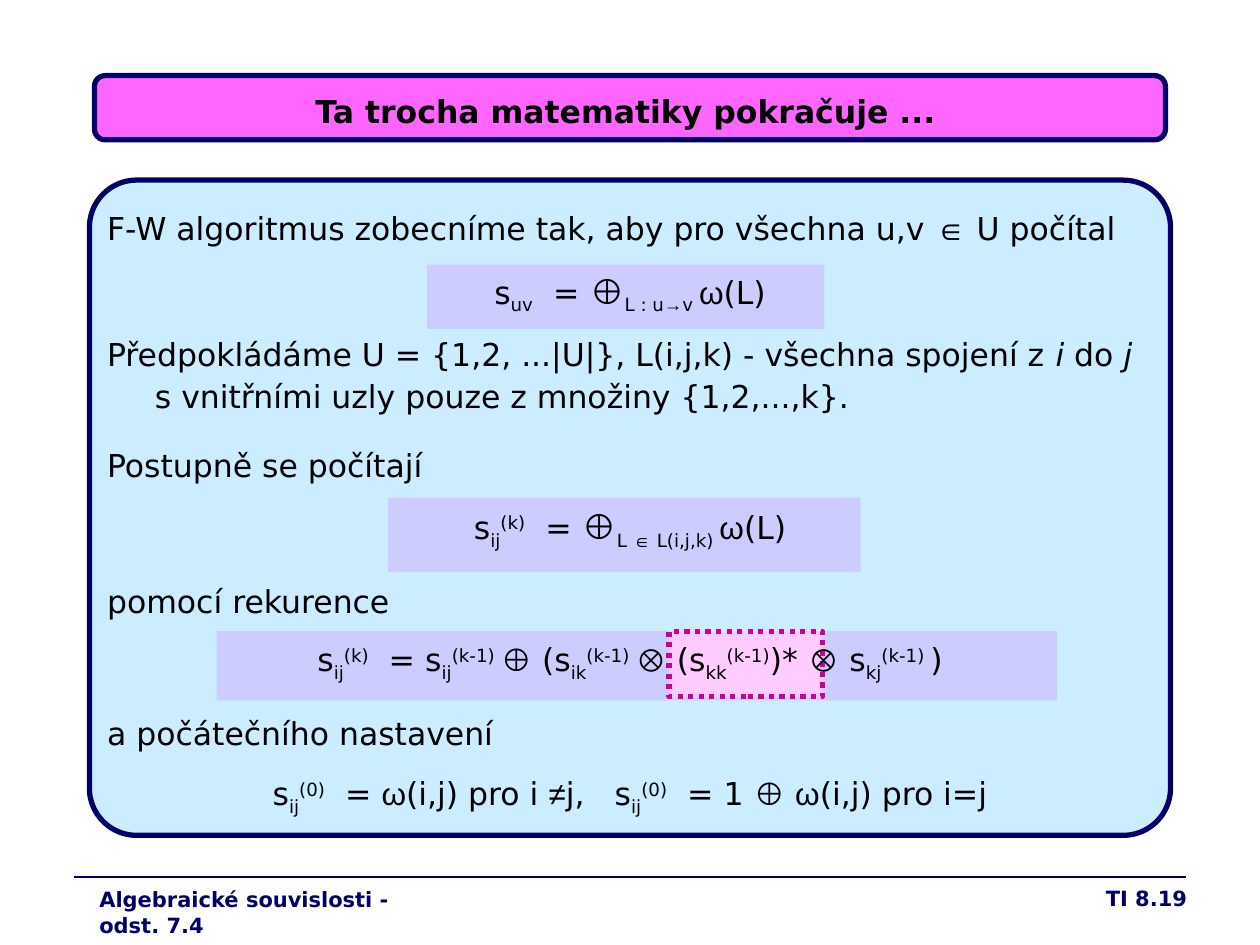
from itertools import groupby

from lxml.etree import SubElement
from pptx import Presentation
from pptx.dml.color import RGBColor
from pptx.enum.dml import MSO_LINE
from pptx.enum.shapes import MSO_CONNECTOR, MSO_SHAPE
from pptx.enum.text import MSO_ANCHOR, MSO_AUTO_SIZE, PP_ALIGN
from pptx.oxml.ns import qn
from pptx.util import Pt

PX = 9144  # EMU in one px, 100 px to the inch
COLORS = {
    "navy": "000066",
    "panel": "CCECFF",
    "formula": "CCCCFF",
    "highlight": "FFCCFF",
    "dots": "CC0099",
    "title": "FF66FF",
    "text": "000000",
}
TEXT_FONT, SYMBOL_FONT = "DejaVu Sans", "Arial"
SYMBOLS, OPERATORS = "∈→ω≠⊕⊗", "⊕⊗"

# A piece starting with _ is a subscript, ^ a superscript, + large, / italic
STYLES = {
    "_": {"baseline": "-25000"},
    "^": {"baseline": "30000"},
    "+": {"size": Pt(20)},
    "/": {"italic": True},
}
LEFT = {"alignment": PP_ALIGN.LEFT}
PROSE = LEFT | {"space_before": Pt(18)}
FORMULA = {"alignment": PP_ALIGN.CENTER, "line_spacing": 1.1, "space_before": Pt(9)}
SPACED_FORMULA = FORMULA | {"space_before": Pt(10)}
BODY = [
    (LEFT | {"space_before": Pt(0)},
     ["F-W algoritmus zobecníme tak, aby pro všechna u,v ∈ U počítal"]),
    (SPACED_FORMULA, ["s", "_uv", "  = ", "+⊕", "_L : u→v ", "ω(L)"]),
    (FORMULA | LEFT,
     ["Předpokládáme U = {1,2, ...|U|}, L(i,j,k) - všechna spojení z ", "/i", " do ",
      "/j", " s vnitřními uzly pouze z množiny {1,2,...,k}."]),
    (PROSE, ["Postupně se počítají"]),
    (FORMULA, ["s", "_ij", "^(k)", "  = ", "+⊕", "_L ∈ L(i,j,k) ", "ω(L)"]),
    (PROSE, ["pomocí rekurence"]),
    (FORMULA,
     ["s", "_ij", "^(k)", "  = s", "_ij", "^(k-1) ", "⊕ (s", "_ik", "^(k-1) ",
      "⊗ (s", "_kk", "^(k-1)", ")* ⊗ s", "_kj", "^(k-1) ", ")"]),
    (PROSE, ["a počátečního nastavení"]),
    (SPACED_FORMULA,
     ["s", "_ij", "^(0)", "  = ω(i,j) pro i ≠j,   s", "_ij", "^(0)",
      "  = 1 ⊕ ω(i,j) pro i=j"]),
]


def color(name):
    return RGBColor.from_string(COLORS[name])


def apply(target, values):
    for name, value in values.items():
        setattr(target, name, value)


def place(shape, box):
    names = ("left", "top", "width", "height")
    apply(shape, {name: length * PX for name, length in zip(names, box)})


def add_box(slide, box, fill, line=None, radius=None):
    kind = MSO_SHAPE.RECTANGLE if radius is None else MSO_SHAPE.ROUNDED_RECTANGLE
    shape = slide.shapes.add_shape(kind, *(length * PX for length in box))
    shape.shadow.inherit = False
    shape.fill.solid()
    shape.fill.fore_color.rgb = color(fill)
    if radius is not None:
        shape.adjustments[0] = radius
    if line:
        shape.line.color.rgb = color(line)
        shape.line.width = Pt(3)
    else:
        shape.line.fill.background()
    return shape


def format_frame(frame, anchor=MSO_ANCHOR.TOP):
    apply(frame, {
        "word_wrap": True, "auto_size": MSO_AUTO_SIZE.NONE, "vertical_anchor": anchor,
        "margin_left": 10 * PX, "margin_right": 10 * PX,
        "margin_top": 5 * PX, "margin_bottom": 5 * PX,
    })


def write_label(frame, text, size, text_color, alignment, anchor=MSO_ANCHOR.TOP):
    format_frame(frame, anchor)
    paragraph = frame.paragraphs[0]
    apply(paragraph, {"text": text, "alignment": alignment, "space_before": Pt(0)})
    apply(paragraph.runs[0].font, {"name": TEXT_FONT, "size": Pt(size), "bold": True})
    paragraph.runs[0].font.color.rgb = color(text_color)


def add_piece(paragraph, piece):
    """Write one marked piece, with its symbols in their own font."""
    style = dict(STYLES.get(piece[0], {}))
    text = piece[1:] if style else piece
    baseline = style.pop("baseline", None)
    for is_symbol, letters in groupby(text, key=lambda letter: letter in SYMBOLS):
        run = paragraph.add_run()
        run.text = "".join(letters)
        values = {
            "name": SYMBOL_FONT if is_symbol else TEXT_FONT,
            "size": Pt(18),
            "bold": run.text in OPERATORS,
        }
        apply(run.font, values | style)
        run.font.color.rgb = color("text")
        if baseline:
            run.font._element.set("baseline", baseline)


def build_body(slide, box):
    left, top, width, height = box
    add_box(slide, box, "panel", "navy", 0.072)
    # Bands behind the formulas, and the dotted highlight
    for x, y, band_width, band_height in [
        (268, 67, 315, 51), (101, 358, 667, 55), (237, 252, 375, 59),
    ]:
        add_box(slide, (left + x, top + y, band_width, band_height), "formula")
    highlight = add_box(slide, (left + 460, top + 358, 122, 52), "highlight", "dots")
    highlight.line.dash_style = MSO_LINE.ROUND_DOT

    # Text
    body = slide.placeholders[1]
    place(body, (left + 4, top + 18, width - 8, height - 17))
    slide.shapes._spTree.append(body._element)
    frame = body.text_frame
    format_frame(frame)
    for index, (layout, pieces) in enumerate(BODY):
        paragraph = frame.add_paragraph() if index else frame.paragraphs[0]
        apply(paragraph, layout)
        properties = paragraph._p.get_or_add_pPr()
        properties.set("marL", str(38 * PX))
        properties.set("indent", str(-38 * PX))
        SubElement(properties, qn("a:buNone"))
        for piece in pieces:
            add_piece(paragraph, piece)


def build_title(slide, box):
    left, top, width, height = box
    add_box(slide, box, "title", "navy", 0.167)
    title = slide.shapes.title
    place(title, (left + 8, top + 8, width - 23, height - 11))
    slide.shapes._spTree.append(title._element)
    write_label(title.text_frame, "Ta trocha matematiky pokračuje ...", 18, "text",
                PP_ALIGN.CENTER, MSO_ANCHOR.MIDDLE)


def build_footer(slide, box):
    left, top, width, height = box
    rule = slide.shapes.add_connector(
        MSO_CONNECTOR.STRAIGHT, left * PX, top * PX, (left + width) * PX, top * PX)
    rule.line.color.rgb = color("navy")
    rule.line.width = Pt(0.75)
    SubElement(rule._element.spPr, qn("a:effectLst"))
    for text, x, y, label_width, alignment in [
        ("Algebraické souvislosti - odst. 7.4", 10, 3, 295, PP_ALIGN.LEFT),
        ("TI 8.19", 685, 2, 208, PP_ALIGN.RIGHT),
    ]:
        label = slide.shapes.add_textbox(
            (left + x) * PX, (top + y) * PX, label_width * PX, height * PX)
        write_label(label.text_frame, text, 12, "navy", alignment)


def main():
    presentation = Presentation()
    presentation.slide_width, presentation.slide_height = 1000 * PX, 750 * PX
    slide = presentation.slides.add_slide(presentation.slide_layouts[1])
    build_footer(slide, (59, 696, 882, 36))
    build_body(slide, (71, 143, 858, 520))
    build_title(slide, (75, 60, 850, 51))
    presentation.save("out.pptx")


if __name__ == "__main__":
    main()
